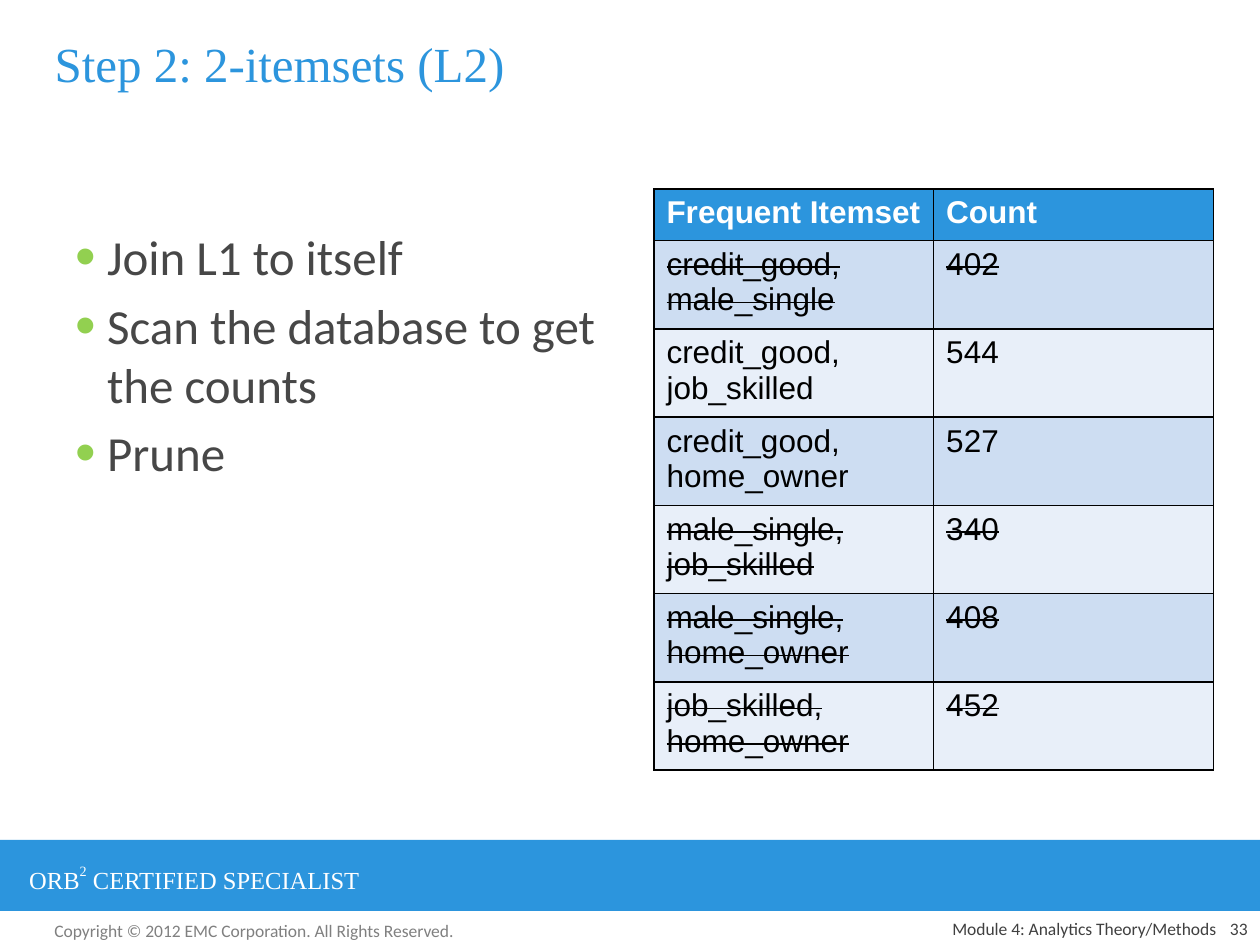
"""Build the slide on 2-itemsets with its bullet list, count table and footer."""
from dataclasses import dataclass
from typing import NamedTuple

from lxml.etree import SubElement
from pptx import Presentation
from pptx.dml.color import RGBColor
from pptx.enum.shapes import MSO_SHAPE
from pptx.enum.text import MSO_ANCHOR as ANCHOR, MSO_AUTO_SIZE as FIT, PP_ALIGN as ALIGN
from pptx.oxml.ns import qn
from pptx.util import Inches, Pt

W, H = Inches(10), Inches(7.5)
COLS, ROWS = 120, 90
COLORS = {
    "blue": "2C95DD", "white": "FFFFFF", "black": "000000", "body": "474747",
    "bullet": "92D050", "grey": "808080", "footer": "404040",
    "odd": "CDDDF2", "even": "E8EFF9",
}


class Box(NamedTuple):
    col: float
    row: float
    cols: float
    rows: float

    def place(self) -> tuple:
        return (across(self.col), down(self.row), across(self.cols), down(self.rows))


class Style(NamedTuple):
    font: str
    size: float
    color: str
    bold: bool = False


@dataclass
class Itemset:
    lines: tuple
    count: str
    pruned: bool = False


@dataclass
class Label:
    box: Box
    text: str
    style: Style
    align: ALIGN = ALIGN.LEFT
    anchor: ANCHOR = ANCHOR.TOP


TITLE = Style("Times New Roman", 28, "blue")
BODY = Style("Calibri", 28, "body")
BANNER = Style("Times New Roman", 14, "white")
HEAD = Style("Arial", 18, "white", True)
CELL = Style("Arial", 18, "black")
FOOT = Style("Calibri", 10, "footer")

BULLETS = ["Join L1 to itself", "Scan the database to get the counts", "Prune"]
HEADERS = ["Frequent Itemset", "Count"]
ITEMSETS = [
    Itemset(("credit_good, male_single",), "402", True),
    Itemset(("credit_good,", "job_skilled"), "544"),
    Itemset(("credit_good, home_owner",), "527"),
    Itemset(("male_single, job_skilled",), "340", True),
    Itemset(("male_single, home_owner",), "408", True),
    Itemset(("job_skilled, home_owner",), "452", True),
]
LABELS = [
    Label(Box(4, 87, 41, 3.2), "Copyright © 2012 EMC Corporation. All Rights Reserved.",
          FOOT._replace(color="grey")),
    Label(Box(114, 87, 6, 3), "33", FOOT, ALIGN.RIGHT, ANCHOR.BOTTOM),
    Label(Box(62, 87, 55, 3), "Module 4: Analytics Theory/Methods", FOOT,
          ALIGN.RIGHT, ANCHOR.BOTTOM),
]


def across(cols: float) -> int:
    return round(W * cols / COLS)


def down(rows: float) -> int:
    return round(H * rows / ROWS)


def rgb(name: str) -> RGBColor:
    return RGBColor.from_string(COLORS[name])


def add_run(p, text: str, style: Style, **attrs: str) -> None:
    r = p.add_run()
    r.text = text
    r.font.name, r.font.size, r.font.bold = style.font, Pt(style.size), style.bold
    r.font.color.rgb = rgb(style.color)
    for key, value in attrs.items():
        r._r.get_or_add_rPr().set(key, value)


def paragraph(tf, index: int):
    return tf.add_paragraph() if index else tf.paragraphs[0]


def put(sp, box: Box) -> None:
    sp.left, sp.top, sp.width, sp.height = box.place()


def add_box(slide, box: Box, align=ALIGN.LEFT, anchor=ANCHOR.TOP):
    tf = slide.shapes.add_textbox(*box.place()).text_frame
    tf.word_wrap, tf.vertical_anchor = True, anchor
    tf.paragraphs[0].alignment = align
    return tf.paragraphs[0]


def fill_title(sp) -> None:
    put(sp, Box(4, 1, 111, 10))
    tf = sp.text_frame
    tf.auto_size, tf.vertical_anchor = FIT.NONE, ANCHOR.MIDDLE
    p = tf.paragraphs[0]
    p.alignment = ALIGN.LEFT
    add_run(p, "Step 2: 2-itemsets (L2)", TITLE)


def fill_body(sp) -> None:
    put(sp, Box(6, 21, 53, 59.4))
    tf = sp.text_frame
    tf.auto_size = FIT.NONE
    for i, text in enumerate(BULLETS):
        p = paragraph(tf, i)
        pPr = p._p.get_or_add_pPr()
        pPr.set("marL", str(across(3)))
        pPr.set("indent", str(-across(3)))
        p.space_before = Pt(5.6 if i else 0)
        SubElement(SubElement(pPr, qn("a:buClr")), qn("a:srgbClr"), val=COLORS["bullet"])
        SubElement(pPr, qn("a:buSzPct"), val="120000")
        SubElement(pPr, qn("a:buFont"), typeface="Arial")
        SubElement(pPr, qn("a:buChar"), char="•")
        add_run(p, text, BODY)


def fill_cell(cell, lines: tuple, style: Style, fill: str, pruned: bool = False) -> None:
    tcPr = cell._tc.get_or_add_tcPr()
    for side in "LRTB":
        ln = SubElement(tcPr, qn(f"a:ln{side}"), w=str(Pt(1)))
        SubElement(SubElement(ln, qn("a:solidFill")), qn("a:srgbClr"), val=COLORS["black"])
    cell.fill.solid()
    cell.fill.fore_color.rgb = rgb(fill)
    for i, line in enumerate(lines):
        add_run(paragraph(cell.text_frame, i), line, style,
                strike="sngStrike" if pruned else "noStrike")


def add_counts(slide) -> None:
    box = Box(62.28, 18, 53.28, 52.5)
    table = slide.shapes.add_table(len(ITEMSETS) + 1, len(HEADERS), *box.place()).table
    for column in table.columns:
        column.width = across(box.cols / len(HEADERS))
    for i, row in enumerate(table.rows):
        row.height = down(7.92 if i else 4.92)
    for j, text in enumerate(HEADERS):
        fill_cell(table.cell(0, j), (text,), HEAD, "blue")
    for i, item in enumerate(ITEMSETS, 1):
        for j, lines in enumerate((item.lines, (item.count,))):
            fill_cell(table.cell(i, j), lines, CELL, "odd" if i % 2 else "even", item.pruned)


def add_banner(slide) -> None:
    sp = slide.shapes.add_shape(MSO_SHAPE.RECTANGLE, *Box(0, 80, COLS, 6.75).place())
    sp.shadow.inherit = False
    sp.fill.solid()
    sp.fill.fore_color.rgb = rgb("blue")
    sp.line.fill.background()
    p = add_box(slide, Box(1.6, 81.5, 44.4, 4))
    add_run(p, "ORB", BANNER)
    add_run(p, "2", BANNER, baseline="56000")
    add_run(p, " CERTIFIED SPECIALIST", BANNER)


def main() -> None:
    prs = Presentation()
    prs.slide_width, prs.slide_height = W, H
    slide = prs.slides.add_slide(prs.slide_layouts[1])
    add_banner(slide)
    fill_title(slide.shapes.title)
    fill_body(slide.placeholders[1])
    add_counts(slide)
    for label in LABELS:
        p = add_box(slide, label.box, label.align, label.anchor)
        add_run(p, label.text, label.style)
    prs.save("out.pptx")


if __name__ == "__main__":
    main()
